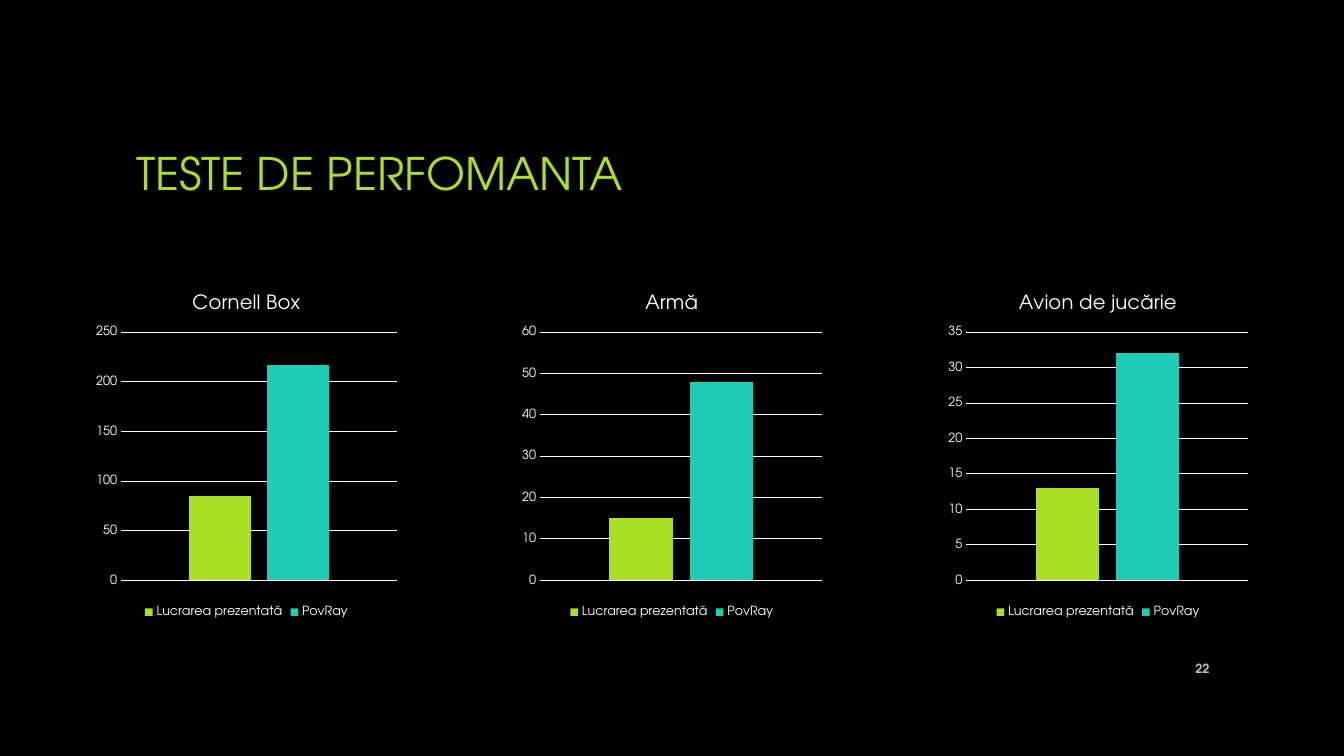
from lxml import etree
from pptx import Presentation
from pptx.chart.data import CategoryChartData
from pptx.dml.color import RGBColor
from pptx.enum.chart import XL_CHART_TYPE, XL_LEGEND_POSITION, XL_TICK_MARK
from pptx.enum.text import MSO_ANCHOR, PP_ALIGN
from pptx.oxml.ns import qn
from pptx.util import Cm, Pt

COLUMNS = XL_CHART_TYPE.COLUMN_CLUSTERED
BOTTOM = XL_LEGEND_POSITION.BOTTOM
NO_TICKS = XL_TICK_MARK.NONE
MIDDLE = MSO_ANCHOR.MIDDLE
LEFT, RIGHT = PP_ALIGN.LEFT, PP_ALIGN.RIGHT

FONT = "TeX Gyre Adventor"
COLORS = {"background": "000000", "text": "FFFFFF", "number": "BFBFBF",
          "lime": "A9E023", "teal": "1FCDB6"}


def style_font(font, size, color, bold=False):
    font.name = FONT
    font.size = Pt(size)
    font.bold = bold
    font.color.rgb = RGBColor.from_string(COLORS[color])


def place_plot(chart, x, y, width, height):
    """Fix the inner plot area, in fractions of the chart."""
    plot_area = chart._chartSpace.chart.plotArea
    for old_layout in plot_area.findall(qn("c:layout")):
        plot_area.remove(old_layout)
    layout = etree.Element(qn("c:layout"))
    manual = etree.SubElement(layout, qn("c:manualLayout"))
    settings = {"layoutTarget": "inner", "xMode": "edge", "yMode": "edge",
                "x": x, "y": y, "w": width, "h": height}
    for tag, value in settings.items():
        etree.SubElement(manual, qn(f"c:{tag}")).set("val", str(value))
    plot_area.insert(0, layout)


presentation = Presentation()
presentation.slide_width = Cm(33.87)
presentation.slide_height = Cm(19.05)
slide = presentation.slides.add_slide(presentation.slide_layouts[6])
slide.background.fill.solid()
slide.background.fill.fore_color.rgb = RGBColor.from_string(COLORS["background"])

# Title and slide number
texts = [
    ("TESTE DE PERFOMANTA", (3.18, 1.7, 27.51, 5.28), 32, "lime", False, LEFT),
    ("22", (29.21, 16.33, 1.52, 1.02), 9, "number", True, RIGHT),
]
for text, box, size, color, bold, alignment in texts:
    frame = slide.shapes.add_textbox(*map(Cm, box)).text_frame
    frame.word_wrap = True
    frame.vertical_anchor = MIDDLE
    paragraph = frame.paragraphs[0]
    paragraph.text = text
    paragraph.alignment = alignment
    style_font(paragraph.font, size, color, bold)

# Charts: title, left edge, values, axis maximum and step, plot left and width
series_names = ["Lucrarea prezentată", "PovRay"]
series_colors = ["lime", "teal"]
tests = [
    ("Cornell Box", 2.26, (85, 217), 250, 50, 0.1, 0.88),
    ("Armă", 12.98, (15, 48), 60, 10, 0.08, 0.9),
    ("Avion de jucărie", 23.72, (13, 32), 35, 5, 0.08, 0.9),
]
for title, left, values, maximum, step, plot_left, plot_width in tests:
    data = CategoryChartData()
    data.categories = ["1"]
    for name, value in zip(series_names, values):
        data.add_series(name, [value])
    chart = slide.shapes.add_chart(COLUMNS, Cm(left), Cm(6.98), Cm(7.9),
                                   Cm(8.69), data).chart
    style_font(chart.font, 10, "text")

    chart.has_title = True
    paragraph = chart.chart_title.text_frame.paragraphs[0]
    paragraph.text = title
    style_font(paragraph.font, 14, "text")
    chart.chart_title.include_in_layout = False

    chart.has_legend = True
    chart.legend.position = BOTTOM
    chart.legend.include_in_layout = False
    style_font(chart.legend.font, 9, "text")

    # Axes
    chart.category_axis.visible = False
    value_axis = chart.value_axis
    value_axis.minimum_scale = 0
    value_axis.maximum_scale = maximum
    value_axis.major_unit = step
    value_axis.major_tick_mark = NO_TICKS
    value_axis.minor_tick_mark = NO_TICKS
    value_axis.format.line.fill.background()
    style_font(value_axis.tick_labels.font, 9, "text")
    grid_line = value_axis.major_gridlines.format.line
    grid_line.width = Pt(0.75)
    grid_line.color.rgb = RGBColor.from_string(COLORS["text"])

    # Columns
    plot = chart.plots[0]
    plot.vary_by_categories = False
    plot.gap_width = 219
    plot.overlap = -27
    for series, color in zip(plot.series, series_colors):
        series.format.fill.solid()
        series.format.fill.fore_color.rgb = RGBColor.from_string(COLORS[color])
    place_plot(chart, plot_left, 0.16, plot_width, 0.72)

presentation.save("out.pptx")
